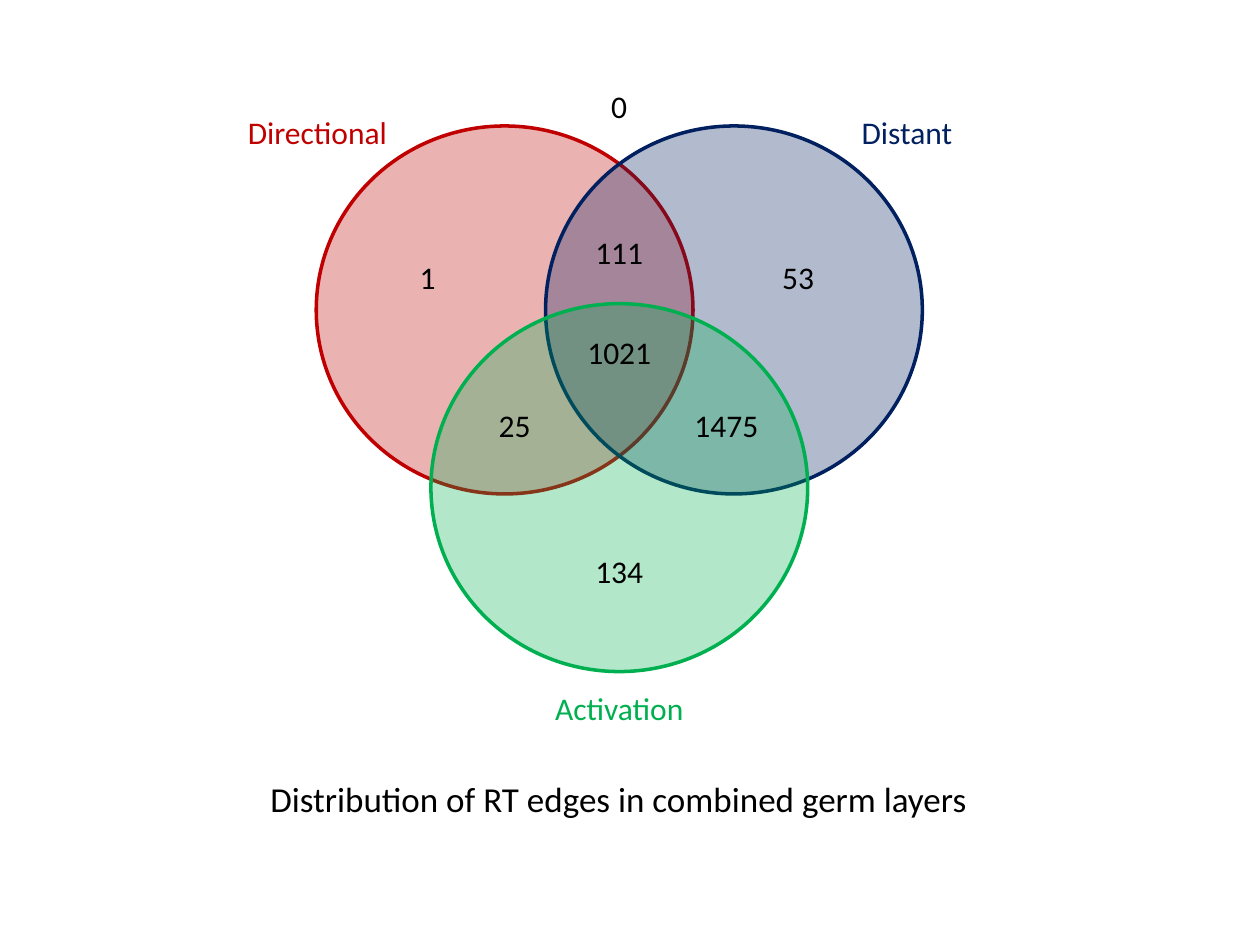
import pptx
import pptx.util
import pptx.dml.color
import pptx.enum.shapes
import pptx.enum.text
import pptx.oxml
import pptx.oxml.ns
from dataclasses import dataclass
from lxml import etree

Inches = pptx.util.Inches
Align = pptx.enum.text.PP_ALIGN


@dataclass(frozen=True)
class Theme:
    font: str = "Calibri"
    directional: str = "C00000"
    distant: str = "002060"
    activation: str = "00B050"
    text: str = "000000"
    label_size: int = 18
    caption_size: int = 20
    outline: int = 2
    opacity: int = 30


class VennSlide:
    def __init__(self, slide, theme):
        self.slide = slide
        self.theme = theme

    @staticmethod
    def color(value):
        return pptx.dml.color.RGBColor.from_string(value)

    def circle(self, left, top, width, height, color):
        shape = self.slide.shapes.add_shape(
            pptx.enum.shapes.MSO_SHAPE.OVAL,
            Inches(left), Inches(top), Inches(width), Inches(height))
        shape.shadow.inherit = False
        shape.fill.solid()
        shape.fill.fore_color.rgb = self.color(color)
        shape.line.color.rgb = self.color(color)
        shape.line.width = pptx.util.Pt(self.theme.outline)
        # Opacity of the fill only
        fill_color = shape.fill._xPr.find(".//" + pptx.oxml.ns.qn("a:srgbClr"))
        alpha = etree.SubElement(fill_color, pptx.oxml.ns.qn("a:alpha"))
        alpha.set("val", str(self.theme.opacity * 1000))

    def text(self, text, left, top, width, height=0.4, color=None,
             size=None, align=Align.CENTER):
        shape = self.slide.shapes.add_textbox(
            Inches(left), Inches(top), Inches(width), Inches(height))
        frame = shape.text_frame
        frame.word_wrap = True
        frame.auto_size = pptx.enum.text.MSO_AUTO_SIZE.SHAPE_TO_FIT_TEXT
        paragraph = frame.paragraphs[0]
        paragraph.alignment = align
        run = paragraph.add_run()
        run.text = text
        run.font.color.rgb = self.color(color or self.theme.text)
        font_format = {
            "name": self.theme.font,
            "size": pptx.util.Pt(size or self.theme.label_size),
        }
        for name, value in font_format.items():
            setattr(run.font, name, value)


presentation = pptx.Presentation()
presentation.slide_width = Inches(10)
presentation.slide_height = Inches(7.5)
theme = Theme()
venn = VennSlide(presentation.slides.add_slide(presentation.slide_layouts[6]), theme)

# Overlapping circles, the lower one midway between the upper two
circle_width, circle_height = 2.99, 2.92
first_left, offset = 2.51, 0.91
circles = [(0, 1, theme.directional), (2, 1, theme.distant), (1, 2.41, theme.activation)]
for step, top, color in circles:
    venn.circle(first_left + step * offset, top, circle_width, circle_height, color)

# Set names
set_names = [
    ("Directional", 1.53, 0.85, 1.64, theme.directional, Align.RIGHT),
    ("Distant", 6.74, 0.85, 1.33, theme.distant, Align.LEFT),
    ("Activation", 4.25, 5.42, 1.33, theme.activation, Align.CENTER),
]
for name, left, top, width, color, align in set_names:
    venn.text(name, left, top, width, color=color, align=align)

# Caption
venn.text("Distribution of RT edges in combined germ layers",
          1.66, 6.12, 6.5, 0.44, size=theme.caption_size)

# Region counts
middle = 4.5
counts = [
    ("1", 2.98, 2), ("53", 5.92, 2), ("134", middle, 4.33),
    ("1021", middle, 2.59), ("111", middle, 1.8),
    ("25", 3.67, 3.17), ("1475", 5.35, 3.17), ("0", middle, 0.64),
]
for count, left, top in counts:
    venn.text(count, left, top, 0.83)

presentation.save("out.pptx")
